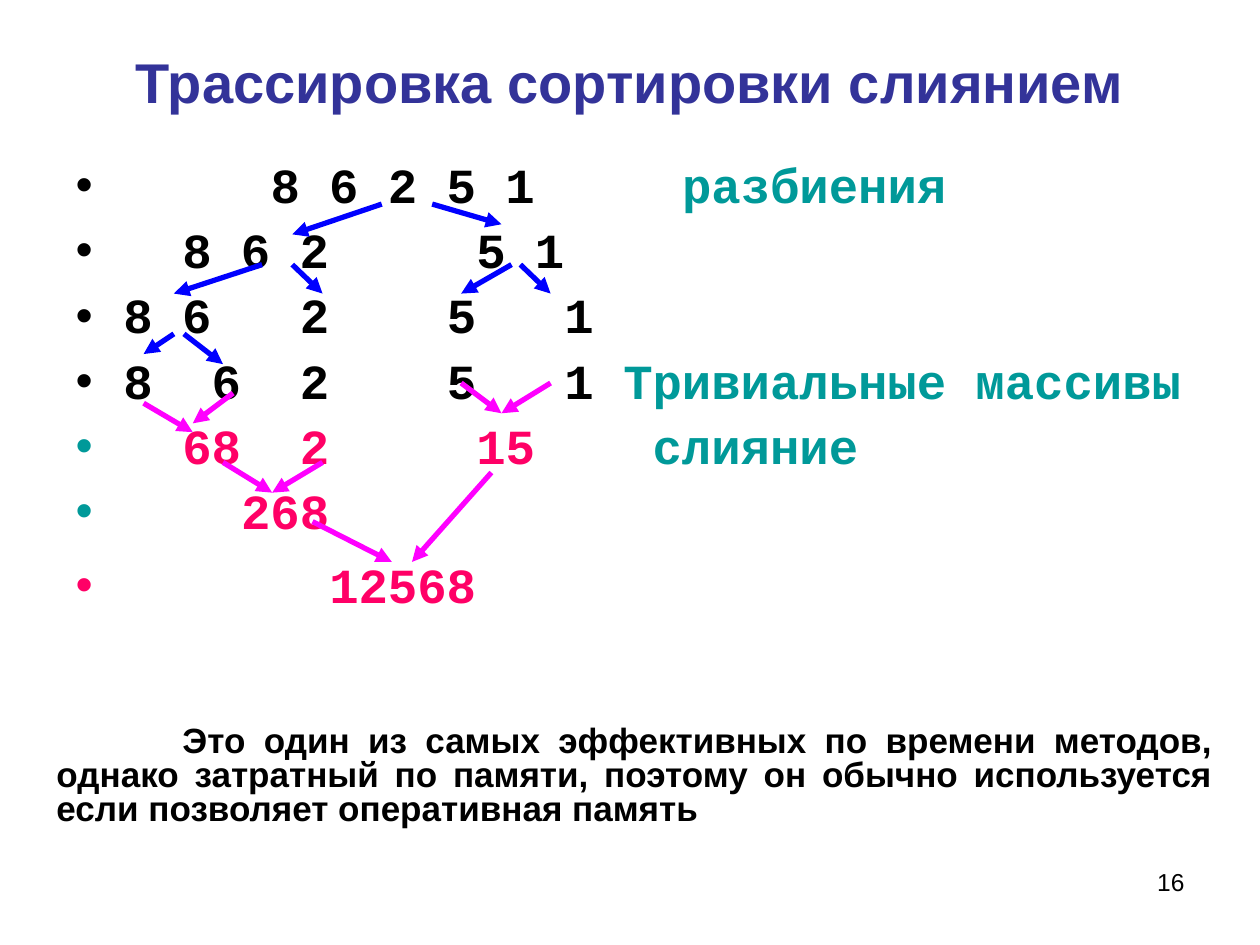
from dataclasses import dataclass

from lxml import etree
from pptx import Presentation
from pptx.dml.color import RGBColor
from pptx.enum import shapes, text
from pptx.oxml.ns import qn
from pptx.util import Inches, Pt


@dataclass(frozen=True)
class Theme:
    heading: str = "333399"
    ink: str = "000000"
    note: str = "009999"
    merged: str = "FF0066"
    split_arrow: str = "0000FF"
    merge_arrow: str = "FF00FF"
    sans: str = "Arial"
    mono: str = "Courier New"
    title_size: int = 32
    trace_size: int = 28
    remark_size: int = 20
    number_size: int = 14


THEME = Theme()
HANG = 0.38
COLUMN = THEME.trace_size * 0.6 / 72  # width of one monospaced character

# Each row: bullet colour, then (character column, wording, colour) for each part
TRACE = [
    (THEME.ink, [(5, "8 6 2 5 1", THEME.ink), (19, "разбиения", THEME.note)]),
    (THEME.ink, [(2, "8 6 2", THEME.ink), (12, "5 1", THEME.ink)]),
    (THEME.ink, [(0, "8 6", THEME.ink), (6, "2", THEME.ink),
                 (11, "5", THEME.ink), (15, "1", THEME.ink)]),
    (THEME.ink, [(0, "8", THEME.ink), (3, "6", THEME.ink), (6, "2", THEME.ink),
                 (11, "5", THEME.ink), (15, "1", THEME.ink),
                 (17, "Тривиальные массивы", THEME.note)]),
    (THEME.note, [(2, "68", THEME.merged), (6, "2", THEME.merged),
                  (12, "15", THEME.merged), (18, "слияние", THEME.note)]),
    (THEME.note, [(4, "268", THEME.merged)]),
    (THEME.merged, [(7, "12568", THEME.merged)]),
]

# Start x, y and end x, y of each arrow
SPLITS = [
    (3.03, 1.62, 2.32, 1.86), (3.43, 1.62, 3.98, 1.78),
    (2.08, 2.1, 1.38, 2.33), (2.32, 2.1, 2.56, 2.33),
    (4.06, 2.1, 3.66, 2.33), (4.13, 2.1, 4.37, 2.33),
    (1.38, 2.65, 1.14, 2.81), (1.46, 2.65, 1.77, 2.89),
]
MERGES = [
    (1.14, 3.2, 1.53, 3.43), (1.85, 3.12, 1.53, 3.36),
    (3.66, 3.04, 3.98, 3.28), (4.37, 3.04, 3.98, 3.28),
    (2.56, 3.67, 2.16, 3.91), (1.77, 3.67, 2.16, 3.91),
    (2.48, 4.14, 3.11, 4.46), (3.9, 3.75, 3.27, 4.46),
]


def place(shape, left, top, width, height):
    shape.left, shape.top = Inches(left), Inches(top)
    shape.width, shape.height = Inches(width), Inches(height)
    shape.text_frame.word_wrap = True
    shape.text_frame.auto_size = text.MSO_AUTO_SIZE.NONE


def add_run(paragraph, wording, size, color, font=THEME.sans, bold=True):
    run = paragraph.add_run()
    run.text = wording
    run.font.name, run.font.size, run.font.bold = font, Pt(size), bold
    run.font.color.rgb = RGBColor.from_string(color)


def set_indent(paragraph, left, first):
    properties = paragraph._p.get_or_add_pPr()
    properties.set("marL", str(Inches(left)))
    properties.set("indent", str(Inches(first)))
    return properties


def format_trace_row(paragraph, bullet_color, columns):
    """Hang a coloured bullet and put a tab stop at each character column."""
    properties = set_indent(paragraph, HANG, -HANG)
    color = etree.SubElement(properties, qn("a:buClr"))
    etree.SubElement(color, qn("a:srgbClr"), val=bullet_color)
    etree.SubElement(properties, qn("a:buFont"), typeface=THEME.sans)
    etree.SubElement(properties, qn("a:buChar"), char="•")
    tabs = etree.SubElement(properties, qn("a:tabLst"))
    for column in columns:
        position = Inches(HANG + column * COLUMN)
        etree.SubElement(tabs, qn("a:tab"), pos=str(position), algn="l")


def add_trace(body):
    place(body, 0.5, 1.23, 9, 3.7)
    frame = body.text_frame
    for index, (bullet_color, parts) in enumerate(TRACE):
        paragraph = frame.add_paragraph() if index else frame.paragraphs[0]
        paragraph.line_spacing = 0.9
        last = index == len(TRACE) - 1
        paragraph.space_before = Pt(0 if index == 0 else 12 if last else 7)
        stops = [column for column, _, _ in parts if column]
        format_trace_row(paragraph, bullet_color, stops)
        for column, wording, color in parts:
            add_run(paragraph, "\t" + wording if column else wording,
                    THEME.trace_size, color, THEME.mono)


def add_arrow(slide, ends, color):
    arrow = slide.shapes.add_connector(
        shapes.MSO_CONNECTOR.STRAIGHT, *map(Inches, ends))
    arrow.line.color.rgb = RGBColor.from_string(color)
    arrow.line.width = Pt(3)
    etree.SubElement(arrow.line._get_or_add_ln(), qn("a:tailEnd"), type="triangle")
    etree.SubElement(arrow._element.spPr, qn("a:effectLst"))


def add_text_box(slide, *box):
    shape = slide.shapes.add_textbox(*map(Inches, box))
    place(shape, *box)
    return shape.text_frame.paragraphs[0]


def add_title(title, wording):
    place(title, 0.5, 0.3, 9, 0.69)
    title.text_frame.vertical_anchor = text.MSO_ANCHOR.MIDDLE
    paragraph = title.text_frame.paragraphs[0]
    paragraph.alignment = text.PP_ALIGN.CENTER
    add_run(paragraph, wording, THEME.title_size, THEME.heading)


def add_remark(slide, wording):
    paragraph = add_text_box(slide, 0.35, 5.72, 9.37, 0.9)
    set_indent(paragraph, 0, 1)
    paragraph.alignment = text.PP_ALIGN.JUSTIFY
    paragraph.line_spacing = 0.8
    add_run(paragraph, wording, THEME.remark_size, THEME.ink)


def add_page_number(slide, number):
    paragraph = add_text_box(slide, 7.17, 6.83, 2.33, 0.52)
    paragraph.alignment = text.PP_ALIGN.RIGHT
    add_run(paragraph, number, THEME.number_size, THEME.ink, bold=False)


def main():
    deck = Presentation()
    deck.slide_width, deck.slide_height = Inches(10), Inches(7.5)
    slide = deck.slides.add_slide(deck.slide_layouts.get_by_name("Title and Content"))
    add_title(slide.shapes.title, "Трассировка сортировки слиянием")
    add_trace(slide.placeholders[1])
    for arrows, color in ((SPLITS, THEME.split_arrow), (MERGES, THEME.merge_arrow)):
        for ends in arrows:
            add_arrow(slide, ends, color)
    add_remark(slide, "Это один из самых эффективных по времени методов, однако "
                      "затратный по памяти, поэтому он обычно используется если "
                      "позволяет оперативная память")
    add_page_number(slide, "16")
    deck.save("out.pptx")


if __name__ == "__main__":
    main()
